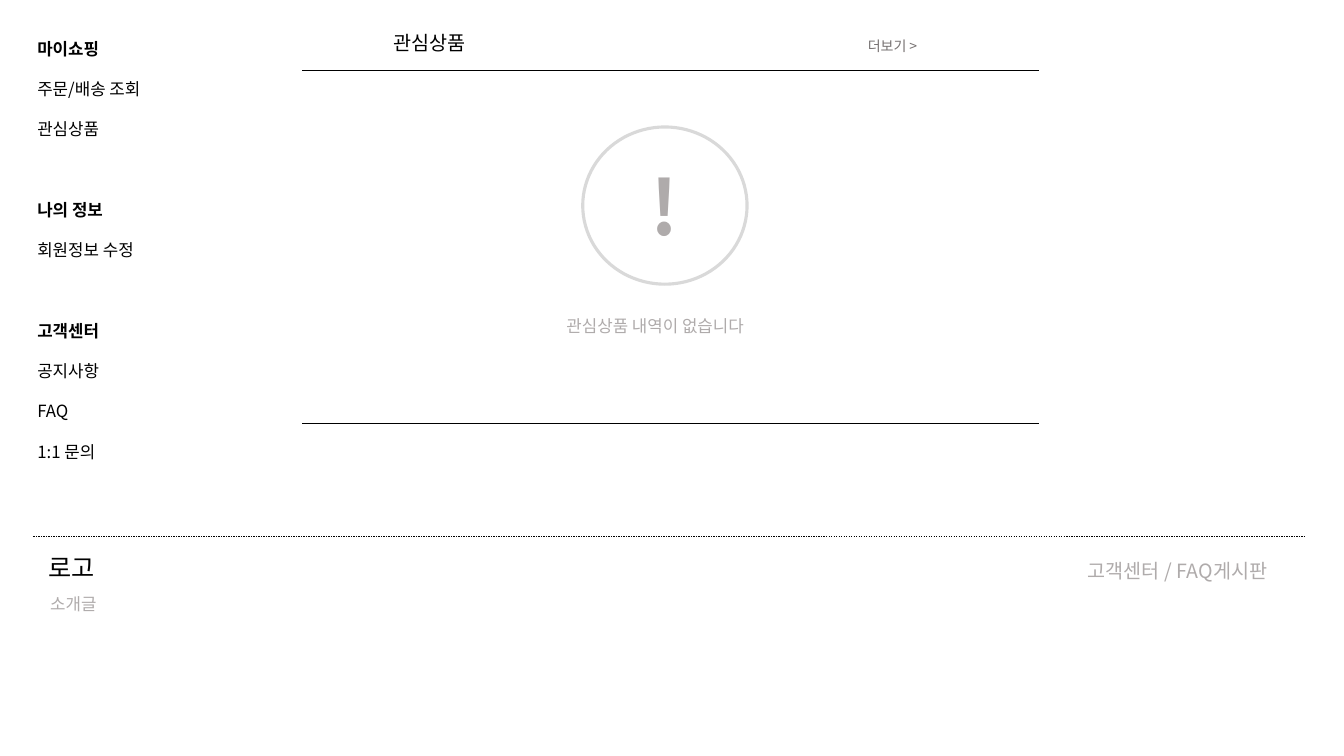
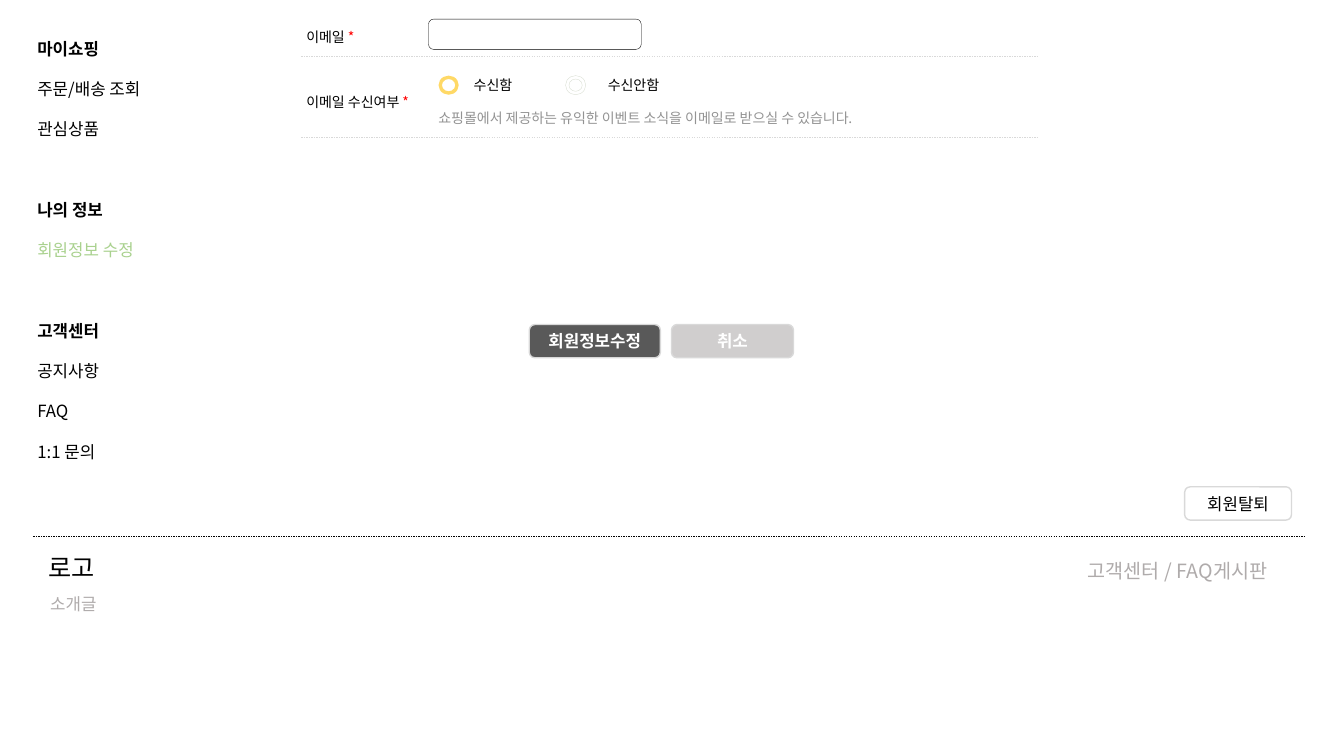
from lxml.etree import SubElement
from pptx import Presentation
from pptx.dml.color import RGBColor
from pptx.enum.dml import MSO_LINE
from pptx.enum.shapes import MSO_CONNECTOR, MSO_SHAPE as SHAPE
from pptx.enum.text import MSO_ANCHOR as ANCHOR, MSO_AUTO_SIZE, PP_ALIGN as ALIGN
from pptx.oxml.ns import qn
from pptx.util import Pt

PX = 9144  # EMU, 100 px to the inch
FONT = "Noto Sans CJK KR"
BLACK = RGBColor(0x00, 0x00, 0x00)
WHITE = RGBColor(0xFF, 0xFF, 0xFF)
RED = RGBColor(0xFF, 0x00, 0x00)
GREEN = RGBColor(0xA9, 0xD1, 0x8E)
YELLOW = RGBColor(0xFF, 0xD9, 0x66)
CHARCOAL = RGBColor(0x59, 0x59, 0x59)
MORE_GRAY = RGBColor(0x76, 0x71, 0x71)
HINT_GRAY = RGBColor(0x93, 0x93, 0x93)
MUTED = RGBColor(0xAF, 0xAB, 0xAB)
SILVER = RGBColor(0xD0, 0xCE, 0xCE)
BORDER = RGBColor(0xD9, 0xD9, 0xD9)
RADIO_GRAY = RGBColor(0xD8, 0xDD, 0xD1)

# Content: places are (left, top, width, height) in px
MENU = [
    ("마이쇼핑", ["주문/배송 조회", "관심상품"]),
    ("나의 정보", ["회원정보 수정"]),
    ("고객센터", ["공지사항", "FAQ", "1:1 문의"]),
]
MENU_PLACE = (27, 13, 158, 690)
FOOTER = [  # text, place, size, colour
    ("로고", (38, 543, 183, 40), 18, BLACK),
    ("소개글", (40, 584, 133, 30), 12, MUTED),
    ("고객센터 / FAQ게시판", (1069, 550, 225, 34), 14, MUTED),
]
WISHLIST_TITLE = ("관심상품", (380, 26, 200, 34))
WISHLIST_TEXTS = [
    ("더보기 >", (851, 32, 90, 27), 10, MORE_GRAY),
    ("관심상품 내역이 없습니다", (552, 308, 217, 30), 12, MUTED),
]
WISHLIST_RULES = [70, 420]
FIELD_LABELS = [("이메일", 23), ("이메일 수신여부", 88)]
FIELD_RULES = [56, 136]
EMAIL_FIELD = (425, 19, 211, 30)
RADIOS = [  # label, radio left, label left, label width, fill, line
    ("수신함", 435, 460, 62, YELLOW, None),
    ("수신안함", 561, 593, 76, WHITE, RADIO_GRAY),
]
HINT = ("쇼핑몰에서 제공하는 유익한 이벤트 소식을 이메일로 받으실 수 있습니다.",
        (425, 104, 483, 27), 10, HINT_GRAY)
BUTTONS = [  # text, place, fill, text colour, bold
    ("회원탈퇴", (1175, 483, 106, 33), WHITE, BLACK, False),
    ("회원정보수정", (525, 322, 130, 33), CHARCOAL, WHITE, True),
    ("취소", (666, 322, 121, 33), SILVER, WHITE, True),
]


def scaled(place):
    return [value * PX for value in place]


def style(para, size, color, bold=False, align=ALIGN.LEFT):
    para.alignment = align
    font = para.font
    font.name, font.size, font.bold = FONT, Pt(size), bold
    font.color.rgb = color
    defaults = para._p.pPr.find(qn("a:defRPr"))
    SubElement(defaults, qn("a:ea")).set("typeface", FONT)


def set_frame(box, anchor=ANCHOR.TOP):
    frame = box.text_frame
    frame.word_wrap = True
    frame.auto_size = MSO_AUTO_SIZE.NONE
    frame.vertical_anchor = anchor
    return frame


def move(box, place):
    box.left, box.top, box.width, box.height = scaled(place)


def add_text(page, text, place, size, color, anchor=ANCHOR.TOP):
    para = set_frame(page.shapes.add_textbox(*scaled(place)), anchor).paragraphs[0]
    para.text = text
    style(para, size, color)
    return para


def add_rule(page, left, right, top, color, weight, dashed=False):
    rule = page.shapes.add_connector(
        MSO_CONNECTOR.STRAIGHT, *scaled((left, top, right, top)))
    rule.line.color.rgb = color
    rule.line.width = Pt(weight)
    if dashed:
        rule.line.dash_style = MSO_LINE.DASH
    SubElement(rule._element.spPr, qn("a:effectLst"))


def add_shape(page, kind, place, fill=None, line=None, weight=1):
    shape = page.shapes.add_shape(kind, *scaled(place))
    shape.shadow.inherit = False
    if fill is None:
        shape.fill.background()
    else:
        shape.fill.solid()
        shape.fill.fore_color.rgb = fill
    if line is None:
        shape.line.fill.background()
    else:
        shape.line.color.rgb = line
        shape.line.width = Pt(weight)
    return shape


def label_shape(shape, text, size, color, bold):
    para = set_frame(shape, ANCHOR.MIDDLE).paragraphs[0]
    para.text = text
    style(para, size, color, bold, ALIGN.CENTER)


def fill_menu(box, active):
    move(box, MENU_PLACE)
    frame = set_frame(box)
    entries = [(text, index == 0, index == 0 and group > 0)
               for group, (heading, links) in enumerate(MENU)
               for index, text in enumerate([heading, *links])]
    for number, (text, is_heading, has_gap) in enumerate(entries):
        para = frame.add_paragraph() if number else frame.paragraphs[0]
        para.text = text
        para.line_spacing = 2.0
        para.space_before = Pt(28.8 if has_gap else 0)
        properties = para._p.get_or_add_pPr()
        properties.set("marL", "0")
        properties.set("indent", "0")
        SubElement(properties, qn("a:buNone"))
        style(para, 12, GREEN if text == active else BLACK, is_heading)


def add_page(deck, title=None, active=None):
    """Page with the side menu and footer that all pages share."""
    page = deck.slides.add_slide(deck.slide_layouts[1])
    heading, menu = page.placeholders
    if title:
        text, place = title
        move(heading, place)
        para = set_frame(heading).paragraphs[0]
        para.text = text
        style(para, 14, BLACK)
    else:
        heading._element.getparent().remove(heading._element)
    fill_menu(menu, active)
    add_rule(page, 33, 1295, 532, BLACK, 0.25, dashed=True)
    for item in FOOTER:
        add_text(page, *item)
    return page


def build_wishlist(deck):
    page = add_page(deck, WISHLIST_TITLE)
    for top in WISHLIST_RULES:
        add_rule(page, 300, 1030, top, BLACK, 0.5)
    badge = add_shape(page, SHAPE.OVAL, (578, 126, 163, 156), line=BORDER, weight=2.25)
    label_shape(badge, "!", 54, MUTED, True)
    for item in WISHLIST_TEXTS:
        add_text(page, *item)


def build_profile(deck):
    page = add_page(deck, active="회원정보 수정")
    # Field names with the mark for required input
    for text, top in FIELD_LABELS:
        para = add_text(page, text + " ", (294, top, 130, 27), 10, BLACK, ANCHOR.MIDDLE)
        mark = para.add_run()
        mark.text = "*"
        mark.font.color.rgb = RED
    for top in FIELD_RULES:
        add_rule(page, 299, 1029, top, BORDER, 0.25, dashed=True)
    # Input field and radio choices
    add_shape(page, SHAPE.ROUNDED_RECTANGLE, EMAIL_FIELD, WHITE, BLACK, 0.25)
    for text, left, label_left, label_width, fill, line in RADIOS:
        radio = add_shape(page, SHAPE.DONUT, (left, 75, 20, 19), fill, line, 0.25)
        radio.adjustments[0] = 0.18
        add_text(page, text, (label_left, 71, label_width, 27), 10, BLACK)
    add_text(page, *HINT)
    for text, place, fill, color, bold in BUTTONS:
        button = add_shape(page, SHAPE.ROUNDED_RECTANGLE, place, fill, BORDER)
        label_shape(button, text, 12, color, bold)


def main():
    deck = Presentation()
    deck.slide_width, deck.slide_height = scaled((1333, 750))
    build_wishlist(deck)
    build_profile(deck)
    deck.save("out.pptx")


if __name__ == "__main__":
    main()
